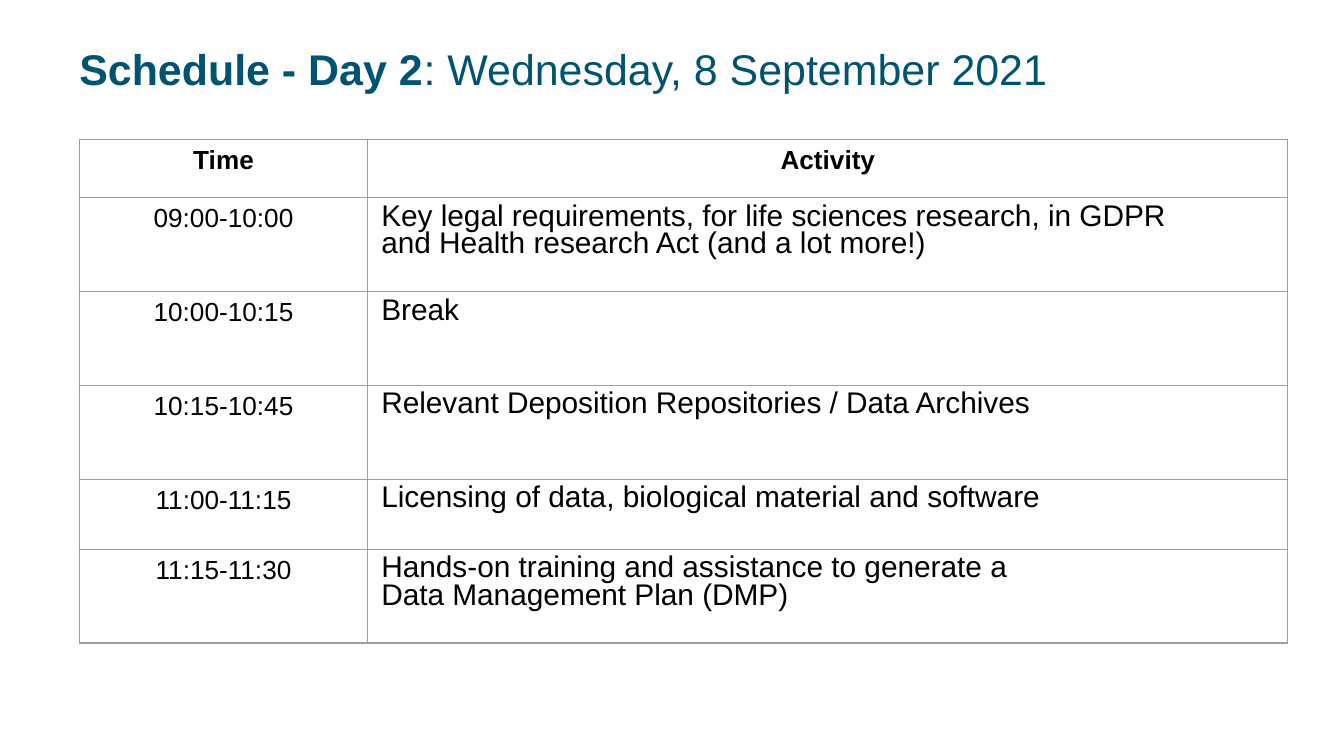
from lxml import etree
from pptx import Presentation
from pptx.dml.color import RGBColor
from pptx.enum.text import MSO_ANCHOR, PP_ALIGN
from pptx.oxml.ns import qn
from pptx.util import Inches, Pt

TOP = MSO_ANCHOR.TOP
LEFT, CENTER = PP_ALIGN.LEFT, PP_ALIGN.CENTER
SLIDE_WIDTH = Inches(10)
SLIDE_HEIGHT = SLIDE_WIDTH * 9 // 16
LEFT_EDGE = 5.9
COLUMN_WIDTHS = (21.47, 68.45)
ROW_HEIGHTS = (7.67, 12.43, 12.43, 12.43, 9.26, 12.43)
TITLE_COLOUR, TEXT_COLOUR, BORDER_COLOUR = "005472", "000000", "9E9E9E"

TITLE_FONT = {"name": "Arial", "size": Pt(23)}
HEADER_FONT = {"name": "Arial", "size": Pt(14), "bold": True}
TIME_FONT = {"name": "Arial", "size": Pt(14), "bold": False}
ACTIVITY_FONT = {"name": "Arial", "size": Pt(16), "bold": False}
CENTERED = {"alignment": CENTER}
ACTIVITY_PARAGRAPH = {"alignment": LEFT, "line_spacing": 0.83}

SCHEDULE = [
    ("09:00-10:00", ["Key legal requirements, for life sciences research, in GDPR ",
                     "and Health research Act (and a lot more!)"]),
    ("10:00-10:15", ["Break"]),
    ("10:15-10:45", ["Relevant Deposition Repositories / Data Archives"]),
    ("11:00-11:15", ["Licensing of data, biological material and software"]),
    ("11:15-11:30", ["Hands-on training and assistance to generate a ",
                     "Data Management Plan (DMP)"]),
]


def across(percent):
    """Return a length as a percentage of the slide width."""
    return int(SLIDE_WIDTH * percent / 100)


def down(percent):
    """Return a length as a percentage of the slide height."""
    return int(SLIDE_HEIGHT * percent / 100)


def apply_format(target, values):
    """Set each attribute named in a dict of format values."""
    for name, value in values.items():
        setattr(target, name, value)


def set_colour(font, colour):
    """Colour a font from a hex string."""
    font.color.rgb = RGBColor.from_string(colour)


def add_run(paragraph, text, values, colour):
    """Append a formatted run to a paragraph."""
    run = paragraph.add_run()
    run.text = text
    apply_format(run.font, values)
    set_colour(run.font, colour)


def add_title(slide):
    """Add the title with its bold opening words."""
    box = slide.shapes.add_textbox(
        across(LEFT_EDGE), down(5.5), across(89.2), down(9.4))
    frame = box.text_frame
    apply_format(frame, {"word_wrap": True, "vertical_anchor": TOP,
                         "margin_left": 0, "margin_right": 0,
                         "margin_top": Inches(0.01), "margin_bottom": 0})
    paragraph = frame.paragraphs[0]
    for text, bold in (("Schedule - Day 2", True),
                       (": Wednesday, 8 September 2021", False)):
        add_run(paragraph, text, {**TITLE_FONT, "bold": bold}, TITLE_COLOUR)


def add_borders(cell):
    """Draw a thin solid line on every side of a cell."""
    properties = cell._tc.get_or_add_tcPr()
    for index, side in enumerate(("a:lnL", "a:lnR", "a:lnT", "a:lnB")):
        line = etree.Element(qn(side), w=str(Pt(0.75)))
        fill = etree.SubElement(line, qn("a:solidFill"))
        etree.SubElement(fill, qn("a:srgbClr"), val=BORDER_COLOUR)
        properties.insert(index, line)


def fill_cell(cell, lines, font_values, paragraph_values):
    """Write lines of text into a bordered, unfilled cell."""
    apply_format(cell, {"margin_left": Inches(0.1), "margin_right": Inches(0.1),
                        "margin_top": Inches(0.05), "margin_bottom": Inches(0.05),
                        "vertical_anchor": TOP})
    cell.fill.background()
    add_borders(cell)
    paragraph = cell.text_frame.paragraphs[0]
    apply_format(paragraph, paragraph_values)
    for index, text in enumerate(lines):
        if index:
            paragraph.add_line_break()
        add_run(paragraph, text, font_values, TEXT_COLOUR)


def add_schedule(slide):
    """Add the table of times and activities."""
    table = slide.shapes.add_table(
        len(ROW_HEIGHTS), len(COLUMN_WIDTHS), across(LEFT_EDGE), down(18.45),
        across(sum(COLUMN_WIDTHS)), down(sum(ROW_HEIGHTS))).table
    apply_format(table, {"first_row": False, "horz_banding": False})
    for column, width in zip(table.columns, COLUMN_WIDTHS):
        column.width = across(width)
    for row, height in zip(table.rows, ROW_HEIGHTS):
        row.height = down(height)
    for column, heading in enumerate(("Time", "Activity")):
        fill_cell(table.cell(0, column), [heading], HEADER_FONT, CENTERED)
    for row, (time, activity) in enumerate(SCHEDULE, start=1):
        fill_cell(table.cell(row, 0), [time], TIME_FONT, CENTERED)
        fill_cell(table.cell(row, 1), activity, ACTIVITY_FONT, ACTIVITY_PARAGRAPH)


def main():
    """Build and save the schedule slide."""
    presentation = Presentation()
    apply_format(presentation, {"slide_width": SLIDE_WIDTH,
                                "slide_height": SLIDE_HEIGHT})
    slide = presentation.slides.add_slide(presentation.slide_layouts[6])
    add_title(slide)
    add_schedule(slide)
    presentation.save("out.pptx")


if __name__ == "__main__":
    main()
